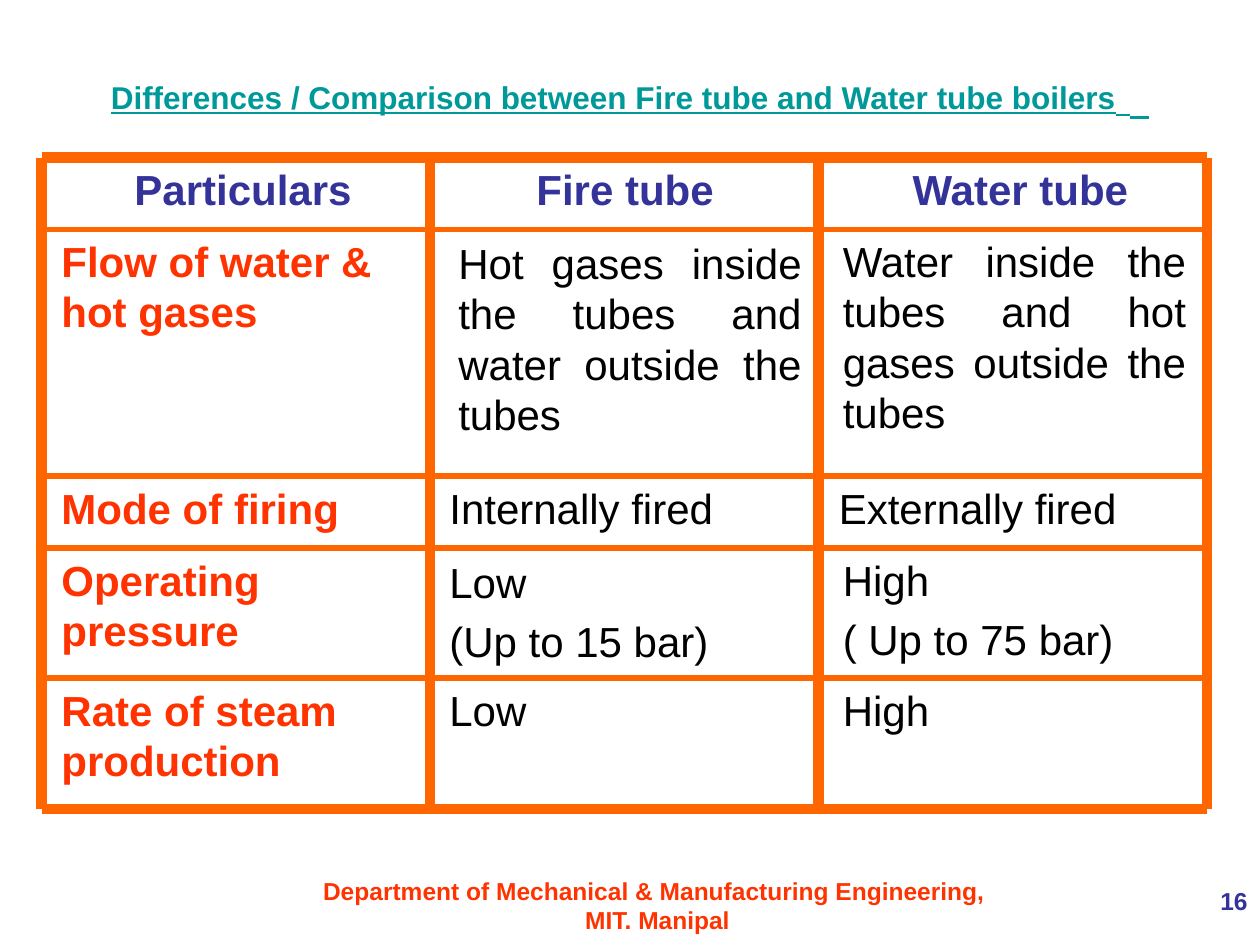
from dataclasses import dataclass

from lxml.etree import SubElement
from pptx import Presentation
from pptx.dml.color import RGBColor
from pptx.enum.shapes import MSO_CONNECTOR
from pptx.enum.text import MSO_ANCHOR, PP_ALIGN
from pptx.oxml.ns import qn
from pptx.slide import Slide
from pptx.util import Cm, Pt

ORANGE = RGBColor(0xFF, 0x66, 0x00)
RED = RGBColor(0xFF, 0x33, 0x00)
INDIGO = RGBColor(0x33, 0x33, 0x99)
TEAL = RGBColor(0x00, 0x99, 0x99)
BLACK = RGBColor(0x00, 0x00, 0x00)

# Grid of the comparison, in centimetres
COLUMN_LINES = [0.84 + 7.83 * step for step in range(4)]
ROW_LINES = [3.18, 4.62, 9.6, 11.05, 13.67, 16.31]
ROW_WEIGHTS = [6, 3, 3.75, 3.75, 3.75, 6]
COLUMN_WEIGHT = 6
CELL_LEFTS = [0.99, 8.81, 16.66]
CELL_WIDTH = 7.82


@dataclass(frozen=True)
class Style:
    color: RGBColor
    size: float = 24
    bold: bool = True
    underline: bool = False
    align: PP_ALIGN = PP_ALIGN.LEFT


@dataclass(frozen=True)
class Cell:
    """Text of a grid cell, with its shift from the cell corner and its width."""
    text: str
    shift_x: float = 0
    shift_y: float = 0
    width: float = CELL_WIDTH


HEADING = Style(INDIGO, align=PP_ALIGN.CENTER)
LABEL = Style(RED)
BODY = Style(BLACK, bold=False, align=PP_ALIGN.JUSTIFY)
TITLE = Style(TEAL, size=18, underline=True, align=PP_ALIGN.CENTER)
FOOTER = Style(RED, size=14, align=PP_ALIGN.CENTER)
PAGE_NUMBER = Style(INDIGO, size=14, align=PP_ALIGN.RIGHT)

ROWS = [
    [Cell("Particulars"), Cell("Fire tube "), Cell("Water tube")],
    [
        Cell("Flow of water & hot gases"),
        Cell("Hot gases inside the tubes and water outside the tubes", 0.18, 0.04, 7.42),
        Cell("Water inside the tubes and hot gases outside the tubes", 0.08, 0, 7.42),
    ],
    [Cell("Mode of firing"), Cell("Internally fired"), Cell("Externally fired")],
    [
        Cell("Operating pressure"),
        Cell("Low \n(Up to 15 bar)", 0, 0.04, 7.2),
        Cell("High \n( Up to 75 bar)", 0.08, 0, 6.98),
    ],
    [Cell("Rate of steam production"), Cell("Low"), Cell("High", 0.08, 0, 6.78)],
]


def add_span(para, text: str, style: Style, size: float) -> None:
    span = para.add_run()
    span.text = text
    span.font.color.rgb = style.color
    values = {"name": "Arial", "size": Pt(size), "bold": style.bold,
              "underline": style.underline}
    for name, value in values.items():
        setattr(span.font, name, value)


def add_text(page: Slide, left: float, top: float, width: float, height: float,
             text: str, style: Style, gap: float = 0):
    """Add a text box with one paragraph per line, gap points apart."""
    box = page.shapes.add_textbox(Cm(left), Cm(top), Cm(width), Cm(height))
    frame = box.text_frame
    frame.word_wrap = True
    for index, line in enumerate(text.split("\n")):
        para = frame.add_paragraph() if index else frame.paragraphs[0]
        para.alignment = style.align
        if index:
            para.space_before = Pt(gap)
        add_span(para, line, style, style.size)
    return frame


def add_rule(page: Slide, x1: float, y1: float, x2: float, y2: float,
             weight: float) -> None:
    rule = page.shapes.add_connector(MSO_CONNECTOR.STRAIGHT, Cm(x1), Cm(y1), Cm(x2), Cm(y2))
    rule.line.color.rgb = ORANGE
    rule.line.width = Pt(weight)
    SubElement(rule._element.spPr, qn("a:effectLst"))


def add_cells(page: Slide) -> None:
    for row, cells in enumerate(ROWS):
        top, bottom = ROW_LINES[row:row + 2]
        for column, cell in enumerate(cells):
            style = HEADING if row == 0 else BODY if column else LABEL
            add_text(page, CELL_LEFTS[column] + cell.shift_x, top + cell.shift_y,
                     cell.width, bottom - top, cell.text, style, gap=5)


def add_grid(page: Slide) -> None:
    for y, weight in zip(ROW_LINES, ROW_WEIGHTS):
        add_rule(page, COLUMN_LINES[0], y, COLUMN_LINES[-1], y, weight)
    for x in COLUMN_LINES:
        add_rule(page, x, ROW_LINES[0], x, ROW_LINES[-1], COLUMN_WEIGHT)


def main() -> None:
    deck = Presentation()
    deck.slide_width, deck.slide_height = Cm(25.4), Cm(19.05)
    page = deck.slides.add_slide(deck.slide_layouts[6])

    add_text(page, 3.73, 17.53, 19.05, 0.89,
             "Department of Mechanical & Manufacturing Engineering, \nMIT. Manipal", FOOTER)
    add_text(page, 23.7, 17.73, 1.7, 1.32, "16", PAGE_NUMBER)
    title = add_text(page, 1.27, 0.76, 22.86, 1.78,
                     "Differences / Comparison between Fire tube and Water tube boilers", TITLE)
    title.vertical_anchor = MSO_ANCHOR.MIDDLE
    for size in (28, 40):
        add_span(title.paragraphs[0], " ", TITLE, size)

    add_cells(page)
    add_grid(page)
    deck.save("out.pptx")


if __name__ == "__main__":
    main()
